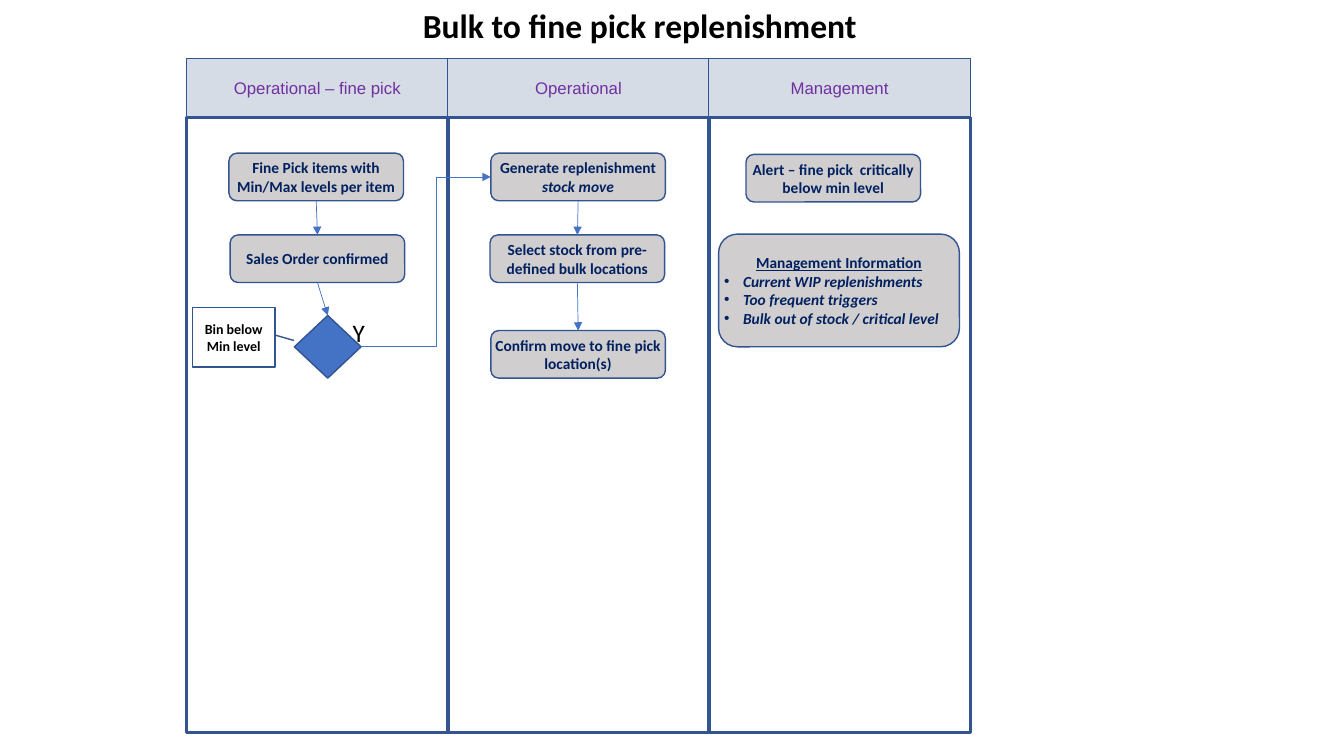
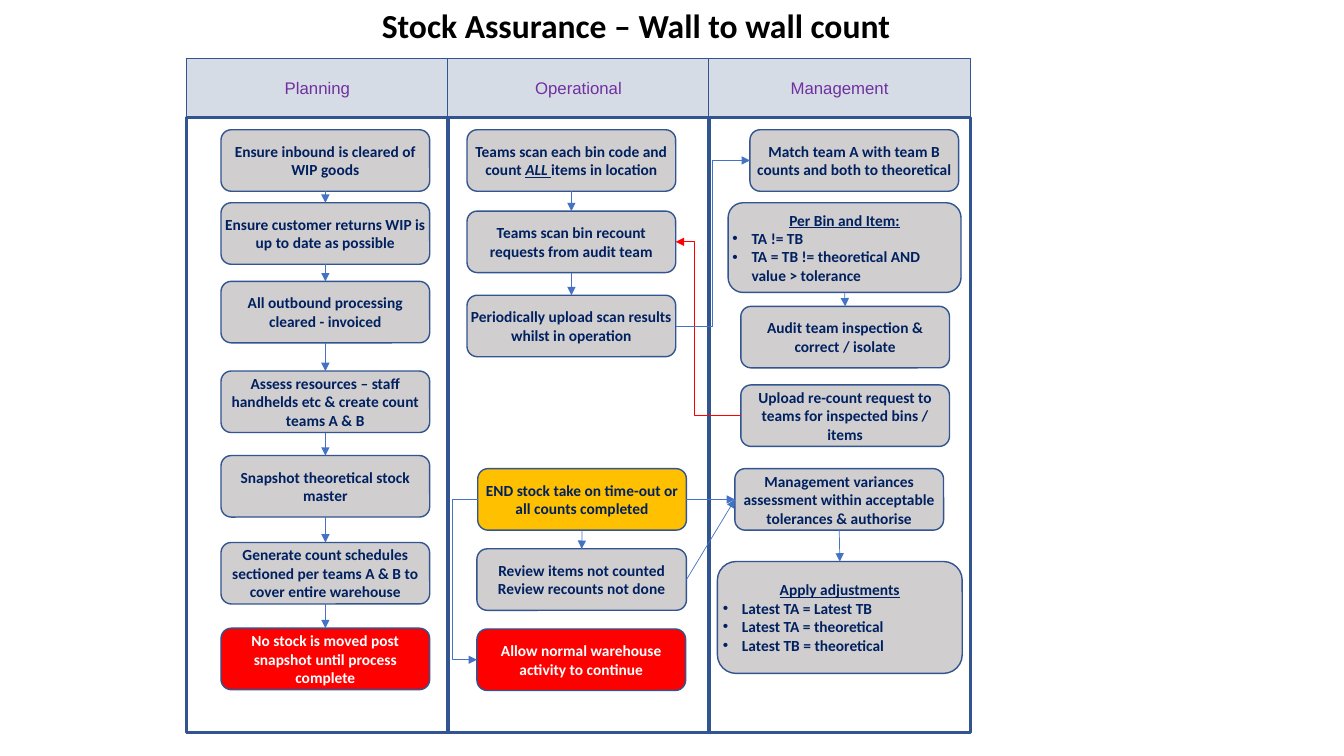
from pptx import Presentation
from pptx.dml.color import RGBColor
from pptx.enum.shapes import MSO_CONNECTOR, MSO_SHAPE
from pptx.enum.text import MSO_ANCHOR, MSO_AUTO_SIZE, PP_ALIGN
from pptx.oxml.ns import qn
from pptx.oxml.xmlchemy import OxmlElement
from pptx.util import Cm, Pt

BLACK = RGBColor(0x00, 0x00, 0x00)
WHITE = RGBColor(0xFF, 0xFF, 0xFF)
NAVY = RGBColor(0x00, 0x20, 0x60)
PURPLE = RGBColor(0x70, 0x30, 0xA0)
EDGE = RGBColor(0x32, 0x54, 0x91)
BLUE = RGBColor(0x44, 0x72, 0xC4)
PALE = RGBColor(0xD6, 0xDC, 0xE5)
GRAY = RGBColor(0xD0, 0xCE, 0xCE)
RED = RGBColor(0xFF, 0x00, 0x00)
AMBER = RGBColor(0xFF, 0xC0, 0x00)

RECT = MSO_SHAPE.RECTANGLE
ROUND = MSO_SHAPE.ROUNDED_RECTANGLE
HEADER = MSO_SHAPE.FLOWCHART_PROCESS
CHOICE = MSO_SHAPE.FLOWCHART_DECISION
CALLOUT = MSO_SHAPE.LINE_CALLOUT_1_BORDER_AND_ACCENT_BAR
STRAIGHT = MSO_CONNECTOR.STRAIGHT
ELBOW = MSO_CONNECTOR.ELBOW
MIDDLE = MSO_ANCHOR.MIDDLE
CENTER = PP_ALIGN.CENTER
LEFT = PP_ALIGN.LEFT

TOP, WEST, BOTTOM, EAST = range(4)
LANE_X, LANE_STEP, LANE_W = 4.7, 6.58, 6.6
HEAD_Y, HEAD_H, LANE_H = 1.47, 1.5, 15.5
SMALL = (4.4, 1.2)
LARGE = (5.26, 1.55)


def style(run, size, color, bold=True, name="Calibri"):
    font = run.font
    font.name = name
    font.size = Pt(size)
    font.bold = bold
    font.color.rgb = color


def write(frame, text, size, color, bold=True, name="Calibri", align=CENTER):
    frame.word_wrap = True
    frame.vertical_anchor = MIDDLE
    frame.text = text
    for para in frame.paragraphs:
        para.alignment = align
        for run in para.runs:
            style(run, size, color, bold, name)


def add_shape(slide, kind, left, top, size, fill=None, line=1):
    shape = slide.shapes.add_shape(kind, Cm(left), Cm(top), *map(Cm, size))
    shape.shadow.inherit = False
    if fill is None:
        shape.fill.background()
    else:
        shape.fill.solid()
        shape.fill.fore_color.rgb = fill
    shape.line.color.rgb = EDGE
    shape.line.width = Pt(line)
    return shape


def add_box(slide, text, left, top, size, fill=GRAY, color=NAVY):
    box = add_shape(slide, ROUND, left, top, size, fill)
    frame = box.text_frame
    frame.margin_left = frame.margin_right = 0
    write(frame, text, 11, color)
    return box


def add_part(box, text, under=False, italic=False):
    run = box.text_frame.paragraphs[0].add_run()
    run.text = text
    style(run, 11, NAVY)
    run.font.underline = under
    run.font.italic = italic


def add_list(slide, head, items, left, top, size, italic=False):
    box = add_box(slide, "\n".join([head, *items]), left, top, size)
    first, *rest = box.text_frame.paragraphs
    first.runs[0].font.underline = True
    for para in rest:
        para.alignment = LEFT
        para.runs[0].font.italic = italic
        props = para._p.get_or_add_pPr()
        props.set("marL", str(Cm(0.48)))
        props.set("indent", str(-Cm(0.48)))
        face = OxmlElement("a:buFont")
        face.set("typeface", "Arial")
        mark = OxmlElement("a:buChar")
        mark.set("char", "•")
        props.extend([face, mark])
    return box


def link(slide, start, end, out=BOTTOM, into=TOP, color=BLUE, bend=None):
    kind = STRAIGHT if bend is None else ELBOW
    line = slide.shapes.add_connector(kind, 0, 0, 0, 0)
    line.begin_connect(start, out)
    line.end_connect(end, into)
    line.line.color.rgb = color
    line.line.width = Pt(0.5)
    props = line.element.spPr
    tip = OxmlElement("a:tailEnd")
    tip.set("type", "triangle")
    props.find(qn("a:ln")).append(tip)
    props.append(OxmlElement("a:effectLst"))
    if bend is not None:
        ratio = (Cm(bend) - line.begin_x) / (line.end_x - line.begin_x)
        guide = OxmlElement("a:gd")
        guide.set("name", "adj1")
        guide.set("fmla", f"val {round(ratio * 100000)}")
        props.find(qn("a:prstGeom")).get_or_add_avLst().append(guide)


def chain(slide, boxes):
    for start, end in zip(boxes, boxes[1:]):
        link(slide, start, end)


def add_page(deck, title, lanes):
    slide = deck.slides.add_slide(deck.slide_layouts[5])
    head = slide.shapes.title
    head.left, head.top, head.width, head.height = map(Cm, (0.2, 0, 31.85, 1.27))
    write(head.text_frame, title, 24, BLACK)
    head.text_frame.auto_size = MSO_AUTO_SIZE.NONE
    for index, name in enumerate(lanes):
        left = LANE_X + index * LANE_STEP
        band = add_shape(slide, HEADER, left, HEAD_Y, (LANE_W, HEAD_H), PALE)
        write(band.text_frame, name, 12, PURPLE, False, "Arial")
        add_shape(slide, RECT, left, HEAD_Y + HEAD_H, (LANE_W, LANE_H), line=2)
    return slide


def add_pick(deck):
    slide = add_page(deck, "Bulk to fine pick replenishment",
                     ["Operational – fine pick", "Operational", "Management"])
    items = add_box(slide, "Fine Pick items with Min/Max levels per item",
                    5.77, 3.86, SMALL)
    order = add_box(slide, "Sales Order confirmed", 5.8, 5.92, SMALL)
    choice = add_shape(slide, CHOICE, 7.42, 7.95, (1.68, 1.58), BLUE)
    note = add_shape(slide, CALLOUT, 4.85, 7.75, (2.08, 1.5), WHITE)
    for index, value in enumerate((0.459, 0.991, 0.554, 1.231)):
        note.adjustments[index] = value
    write(note.text_frame, "Bin below Min level", 10, BLACK)
    yes = slide.shapes.add_textbox(Cm(8.64), Cm(8), Cm(0.99), Cm(0.74))
    write(yes.text_frame, "Y", 18, BLACK, False, align=LEFT)

    move = add_box(slide, "Generate replenishment ", 12.37, 3.86, SMALL)
    add_part(move, "stock move", italic=True)
    stock = add_box(slide, "Select stock from pre-defined bulk locations",
                    12.35, 5.92, SMALL)
    done = add_box(slide, "Confirm move to fine pick location(s)",
                   12.37, 8.33, SMALL)
    add_box(slide, "Alert – fine pick  critically below min level",
            18.8, 3.89, SMALL)
    add_list(slide, "Management Information",
             ["Current WIP replenishments", "Too frequent triggers",
              "Bulk out of stock / critical level"],
             18.11, 5.9, (6.07, 2.84), italic=True)
    chain(slide, [items, order, choice])
    chain(slide, [move, stock, done])
    link(slide, choice, move, EAST, WEST, bend=11)


def add_count(deck):
    slide = add_page(deck, "Stock Assurance – Wall to wall count ",
                     ["Planning", "Operational", "Management"])
    steps = [
        ("Ensure inbound is cleared of WIP goods", 3.27),
        ("Ensure customer returns WIP is up to date as possible", 5.11),
        ("All outbound processing cleared - invoiced", 7.09),
        ("Assess resources – staff handhelds etc & create count teams A & B", 9.35),
        ("Snapshot theoretical stock master", 11.48),
        ("Generate count schedules sectioned per teams A & B to cover entire warehouse",
         13.67),
    ]
    plan = [add_box(slide, text, 5.57, top, LARGE) for text, top in steps]
    plan.append(add_box(slide, "No stock is moved post snapshot until process complete",
                        5.57, 15.83, LARGE, RED, WHITE))

    scan = add_box(slide, "Teams scan each bin code and count ", 11.77, 3.27, LARGE)
    add_part(scan, "ALL ", under=True, italic=True)
    add_part(scan, "items in location")
    recount = add_box(slide, "Teams scan bin recount requests from audit team",
                      11.77, 5.32, LARGE)
    upload = add_box(slide, "Periodically upload scan results whilst in operation",
                     11.77, 7.44, LARGE)
    finish = add_box(slide, "END stock take on time-out or all counts completed",
                     12.04, 11.81, LARGE, AMBER)
    review = add_box(slide, "Review items not counted\nReview recounts not done",
                     12.02, 13.83, (5.28, 1.55))
    allow = add_box(slide, "Allow normal warehouse activity to continue",
                    12.02, 15.85, LARGE, RED, WHITE)

    match = add_box(slide, "Match team A with team B counts and both to theoretical",
                    18.9, 3.27, LARGE)
    rules = add_list(slide, "Per Bin and Item:",
                     ["TA != TB", "TA = TB != theoretical AND value > tolerance"],
                     18.35, 5.11, (5.87, 2.26))
    audit = add_box(slide, "Audit team inspection & correct / isolate",
                    18.67, 7.72, LARGE)
    request = add_box(slide, "Upload re-count request to teams for inspected bins / items",
                      18.67, 9.7, LARGE)
    assess = add_box(
        slide, "Management variances assessment within acceptable tolerances & authorise",
        18.52, 11.81, LARGE)
    adjust = add_list(slide, "Apply adjustments",
                      ["Latest TA = Latest TB", "Latest TA = theoretical",
                       "Latest TB = theoretical"],
                      18.08, 14.15, (6.17, 2.82))

    for group in (plan, [scan, recount, upload], [finish, review],
                  [rules, audit], [assess, adjust]):
        chain(slide, group)
    link(slide, finish, assess, EAST, WEST)
    link(slide, review, assess, EAST, WEST)
    link(slide, request, recount, WEST, EAST, RED, 17.5)
    link(slide, upload, match, EAST, WEST, bend=17.96)
    link(slide, finish, allow, WEST, WEST, bend=11.4)


def main():
    deck = Presentation()
    deck.slide_width = Cm(33.87)
    deck.slide_height = Cm(19.05)
    add_pick(deck)
    add_count(deck)
    deck.save("out.pptx")


if __name__ == "__main__":
    main()
